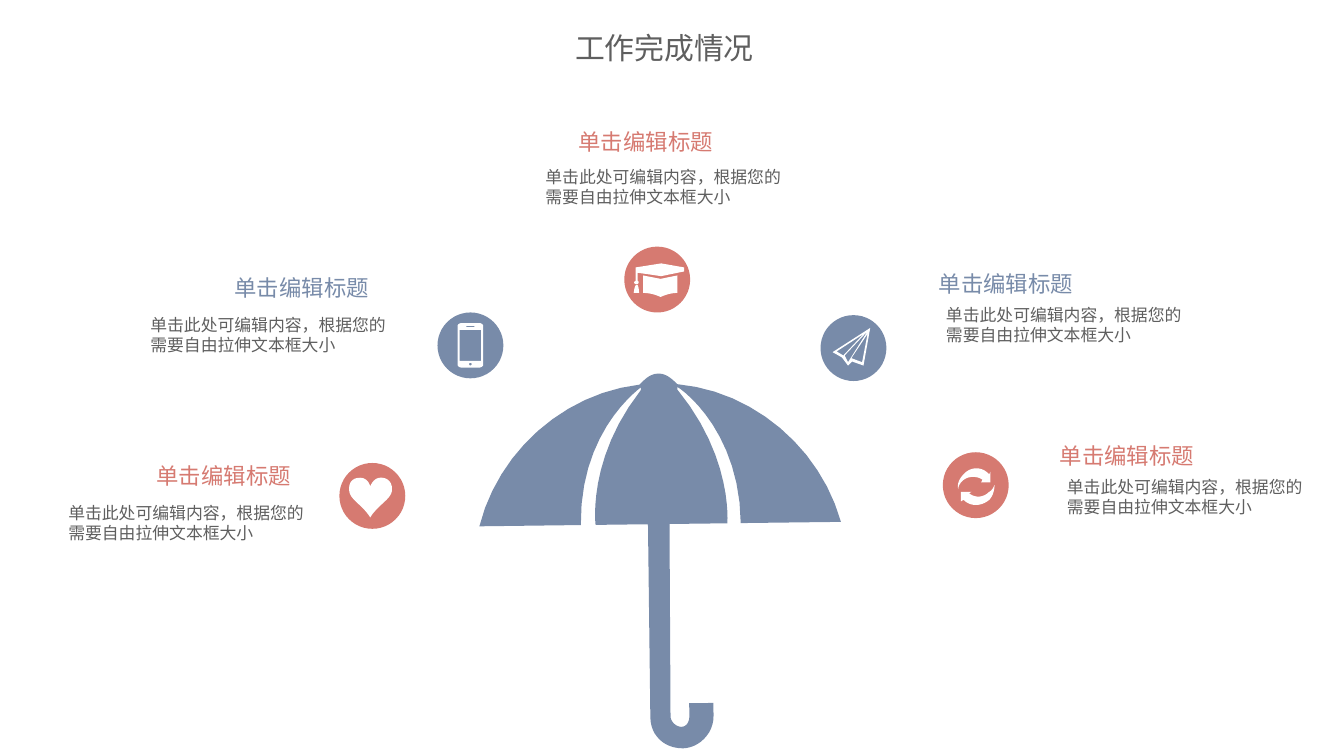
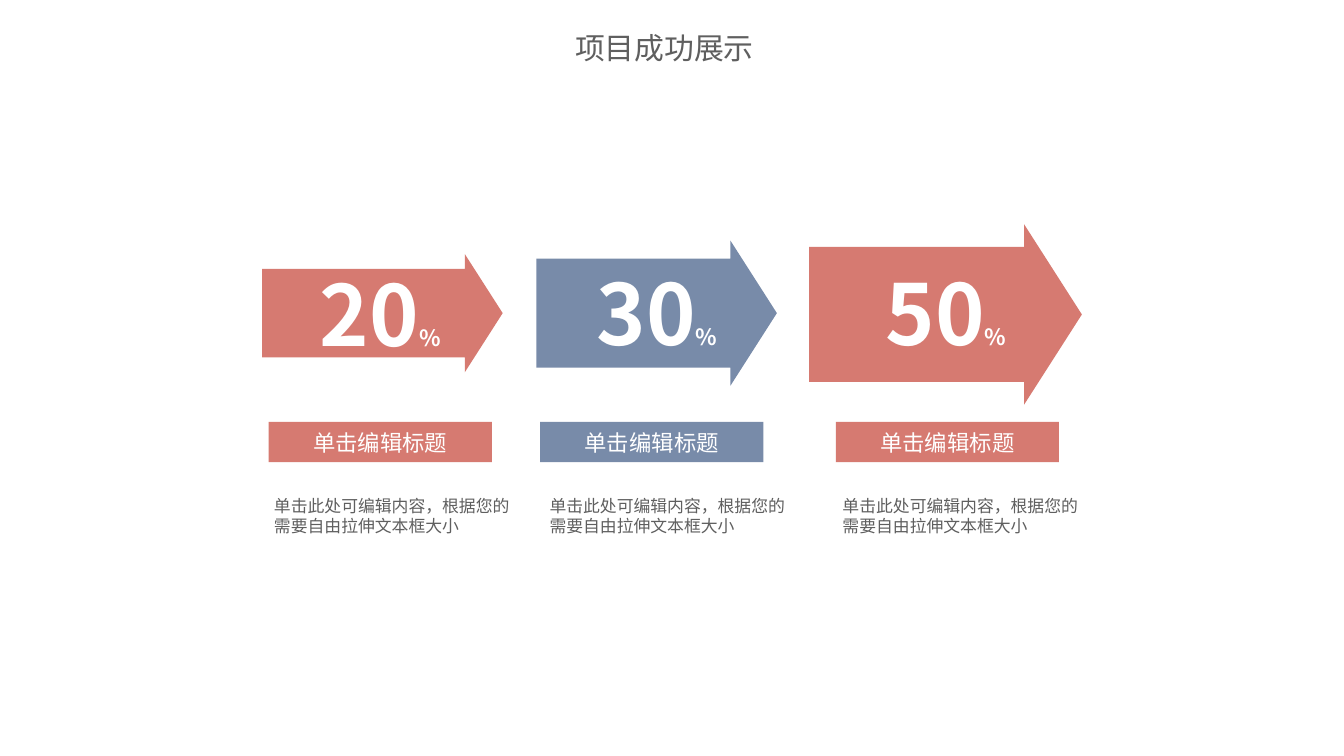
from dataclasses import dataclass
from typing import NamedTuple

from lxml.etree import SubElement
from pptx import Presentation
from pptx.dml.color import RGBColor
from pptx.enum.shapes import MSO_SHAPE as Kind
from pptx.enum.text import MSO_ANCHOR as Anchor, PP_ALIGN as Align
from pptx.oxml.ns import qn
from pptx.util import Inches, Pt

WIDE, HIGH = Inches(10), Inches(5.625)
COL, ROW = WIDE / 100, HIGH / 56.25  # square grid cells
DOT = COL / 10  # unit of the outlines
STEPS = 12  # chords per curve

HEAD = "单击编辑标题"
BODY = "单击此处可编辑内容，根据您的需要自由拉伸文本框大小"


@dataclass(frozen=True)
class Theme:
    font: str = "Noto Sans CJK SC"
    gray: str = "5F5F5F"
    blue: str = "788BA9"
    red: str = "D67A71"
    white: str = "FFFFFF"
    title: float = 16
    head: float = 12
    body: float = 9
    figure: float = 45


THEME = Theme()


class Box(NamedTuple):
    """Left, top, width and height in columns and rows."""
    x: float
    y: float
    w: float
    h: float

    def emu(self) -> tuple:
        return (round(self.x * COL), round(self.y * ROW),
                round(self.w * COL), round(self.h * ROW))


class Topic(NamedTuple):
    icon: tuple
    hub: tuple
    tone: str
    head: tuple
    body: tuple


class Stage(NamedTuple):
    share: str
    tone: str
    arrow: Box
    figure: tuple
    label: float
    note: float


UMBRELLA = """M 60 112 L 134.5 112 C 120 57 71 14 14 8 C 10 4 6 0 0 0
C -6 0 -10 4 -14 8 C -71 14 -120 57 -134.5 112 L -59 112
C -59 47 -21 16 -13 10 L -13 12 C -54 63 -48 112 -48 112 L -9 112 L -9 256
C -9 269 1 279 15 279 C 26 279 38 269 38 255 L 38 245.5 L 20 245.5 L 20 255
C 20 259 18 263 14 263 C 10 263 6 259 6 255 L 7 112 L 50 112
C 50 112 55 63 14 12 L 14 10 C 22 15 60 47 60 112 Z"""

HEART = ("""M -1.5 -7 C -2.5 -11 -5.5 -13.5 -9 -13.5
C -15.5 -13.5 -18 -9 -17 -3 C -16 3 -7 7 -1.5 16 C 4 7 13 3 14.5 -3
C 15.5 -9 12.5 -13 7.5 -13.5 C 3 -14 0 -11 -1.5 -7 Z""",)

CYCLE = ("""M 10 -8 C 5 -14 -4 -14 -9 -8 C -12 -5 -14 -1 -13 3
C -13 1 -12 -1 -10 -3 C -6 -7 1 -7 5 -4 L 4 -2 L 11 -2 L 11 -10 Z""",
         """M -9 11 C -4 16 4 16 10 11 C 13 8 14 3 14 0
C 13 2 12 4 10 5 C 6 9 0 10 -5 6 L -3 5 L -11 5 L -11 12 Z""")

CAP = ("""M 20 -9 L 3 -12 L -16 -9 L -16 1 C -18 2 -17 3.5 -15.5 3.5
C -14 3.5 -13 2 -14.5 1 L -14.5 -5 L 3 -2.5 L 20 -6 Z
M -15 4 C -17 4 -17 8 -17.5 10 L -13.5 10 C -13.5 8 -14 4 -15 4 Z
M -10.5 10 L -10.5 -3 L 2.5 -0.5 L 15 -3 L 15 10 C 11 10 7 11 2.5 13
C -2 11 -6 10 -10.5 10 Z""",)

PHONE = ("""M 7 -16.5 L -7 -16.5 C -8 -16.5 -9.5 -15.5 -9.5 -14.5
L -9.5 14.5 C -9.5 15.5 -8 16.5 -7 16.5 L 7 16.5
C 8 16.5 9.5 15.5 9.5 14.5 L 9.5 -14.5 C 9.5 -15.5 8 -16.5 7 -16.5 Z
M -3 -14.5 L 3 -14.5 L 3 -13.5 L -3 -13.5 Z
M -8 -11.5 L 8 -11.5 L 8 11.5 L -8 11.5 Z
M -1 14 C -1 12.7 1 12.7 1 14 C 1 15.3 -1 15.3 -1 14 Z""",)

PLANE = ("""M 12.5 -15 L -15.5 3 L -8.5 7 L -4 13 L -1 10 L 7.5 13 Z
M -12.5 2.5 L 7.5 -10.5 L -7.5 5.5 Z M -6.5 5.5 L 10.5 -12.5 L -4 10.5 Z
M 6.5 10.5 L -1.5 7.5 L 10.5 -10.5 Z""",)

TOPICS = (
    Topic(HEART, (27.7, 36.9), THEME.red, (10.6, 33.9), (4.1, 36.9)),
    Topic(CYCLE, (72.6, 36.1), THEME.red, (77.8, 32.4), (78.4, 35)),
    Topic(CAP, (48.9, 20.8), THEME.red, (42, 9), (39.6, 11.9)),
    Topic(PHONE, (35, 25.7), THEME.blue, (16.4, 19.9), (10.2, 22.9)),
    Topic(PLANE, (63.5, 25.9), THEME.blue, (68.8, 19.6), (69.4, 22.2)),
)

STAGES = (
    Stage("20", THEME.red, Box(19.5, 18.9, 17.9, 8.8), (22.6, 19), 20, 19.4),
    Stage("30", THEME.blue, Box(39.9, 17.9, 17.9, 10.8), (43.2, 18.9),
          40.2, 39.9),
    Stage("50", THEME.red, Box(60.2, 16.7, 20.3, 13.4), (64.7, 18.9),
          62.2, 61.7),
)


def write(shape, text: str, *, size: float, color: str = THEME.gray,
          bold: bool = False, align=Align.LEFT, anchor=Anchor.MIDDLE,
          wrap: bool = True, pitch: float = 0, unit: str = "") -> None:
    """Fill a shape with one paragraph; unit is a small suffix."""
    frame = shape.text_frame
    frame.word_wrap = wrap
    frame.vertical_anchor = anchor
    frame.margin_left = frame.margin_right = Inches(0.1)
    frame.margin_top = frame.margin_bottom = Inches(0.05)
    para = frame.paragraphs[0]
    para.alignment = align
    if pitch:
        para.line_spacing = Pt(size * pitch)
    for part, points in ((text, size), (unit, THEME.head)):
        if not part:
            continue
        run = para.add_run()
        run.text = part
        font = run.font
        font.name, font.size, font.bold = THEME.font, Pt(points), bold
        font.color.rgb = RGBColor.from_string(color)
        east = SubElement(run._r.get_or_add_rPr(), qn("a:ea"))
        east.set("typeface", THEME.font)


def paint(shape, color: str):
    shape.shadow.inherit = False
    shape.fill.solid()
    shape.fill.fore_color.rgb = RGBColor.from_string(color)
    shape.line.fill.background()
    return shape


def block(shapes, kind, box: Box, color: str):
    return paint(shapes.add_shape(kind, *box.emu()), color)


def label(shapes, box: Box, text: str, **form) -> None:
    write(shapes.add_textbox(*box.emu()), text, **form)


def note(shapes, x: float, y: float) -> None:
    label(shapes, Box(x, y, 20.2, 4), BODY, size=THEME.body,
          anchor=Anchor.TOP, pitch=1.2)


def bend(a: tuple, b: tuple, c: tuple, d: tuple) -> list:
    """Points along a cubic curve, without its start."""
    spots = []
    for step in range(1, STEPS + 1):
        t = step / STEPS
        u = 1 - t
        spots.append(tuple(
            u**3 * p + 3 * u * u * t * q + 3 * u * t * t * r + t**3 * s
            for p, q, r, s in zip(a, b, c, d)))
    return spots


def trace(data: str) -> list:
    """Turn M, L, C and Z commands into lists of points."""
    rings = []
    words = iter(data.split())

    def spot() -> tuple:
        return float(next(words)) * DOT, float(next(words)) * DOT

    for word in words:
        if word == "M":
            rings.append([spot()])
        elif word == "L":
            rings[-1].append(spot())
        elif word == "C":
            rings[-1] += bend(rings[-1][-1], spot(), spot(), spot())
    return rings


def draw(shapes, data: str, hub: tuple, color: str):
    """Draw an outline whose zero point lies at hub."""
    first, *rest = trace(data)
    pen = shapes.build_freeform(*first[0], scale=1.0)
    pen.add_line_segments(first[1:], close=True)
    for ring in rest:
        pen.move_to(*ring[0])
        pen.add_line_segments(ring[1:], close=True)
    x, y = hub
    return paint(pen.convert_to_shape(round(x * COL), round(y * ROW)), color)


def badge(shapes, topic: Topic, size: float = 4.9) -> None:
    """A disc with a white icon, grouped."""
    group = shapes.add_group_shape().shapes
    x, y = topic.hub
    block(group, Kind.OVAL, Box(x - size / 2, y - size / 2, size, size),
          topic.tone)
    for data in topic.icon:
        draw(group, data, topic.hub, THEME.white)


def start(deck, text: str):
    """Add a slide with its title and return its shapes."""
    shapes = deck.slides.add_slide(deck.slide_layouts[5]).shapes
    title = shapes.title
    title.left, title.top, title.width, title.height = \
        Box(41.8, 1.7, 16.1, 3.7).emu()
    write(title, text, size=THEME.title)
    return shapes


def work(deck) -> None:
    shapes = start(deck, "工作完成情况")
    draw(shapes, UMBRELLA, (49.15, 27.8), THEME.blue).rotation = 359.3
    for topic in TOPICS:
        badge(shapes, topic)
    for topic in TOPICS:
        label(shapes, Box(*topic.head, 12.1, 3), HEAD, size=THEME.head,
              color=topic.tone, align=Align.CENTER, wrap=False)
        note(shapes, *topic.body)


def success(deck) -> None:
    shapes = start(deck, "项目成功展示")
    for stage in STAGES:
        arrow = block(shapes, Kind.RIGHT_ARROW, stage.arrow, stage.tone)
        arrow.adjustments[0], arrow.adjustments[1] = 0.75, 0.32
        bar = block(shapes, Kind.RECTANGLE, Box(stage.label, 31.4, 16.6, 3),
                    stage.tone)
        write(bar, HEAD, size=THEME.head, color=THEME.white,
              align=Align.CENTER)
        note(shapes, stage.note, 36.4)
        label(shapes, Box(*stage.figure, 11.4, 8.6), stage.share, unit="%",
              size=THEME.figure, color=THEME.white, bold=True,
              align=Align.CENTER, wrap=False)


def main() -> None:
    deck = Presentation()
    deck.slide_width, deck.slide_height = WIDE, HIGH
    work(deck)
    success(deck)
    deck.save("out.pptx")


if __name__ == "__main__":
    main()
